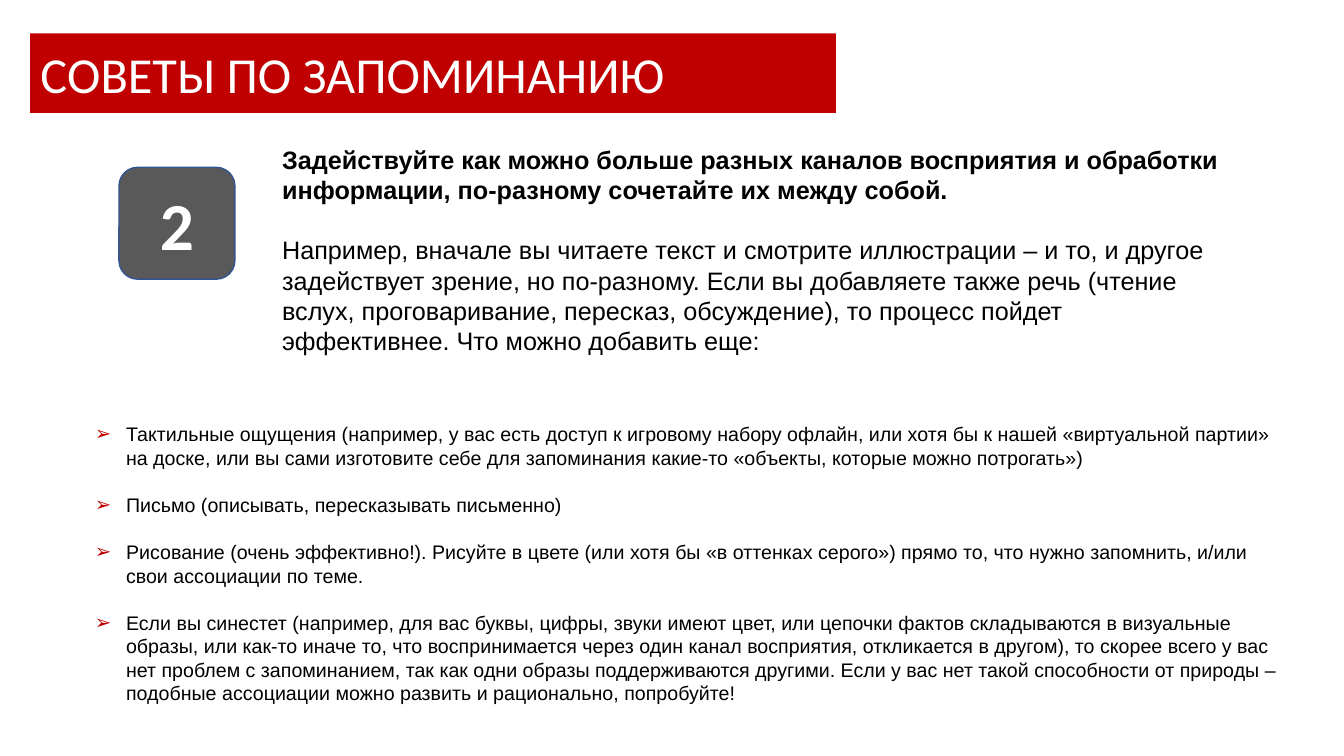
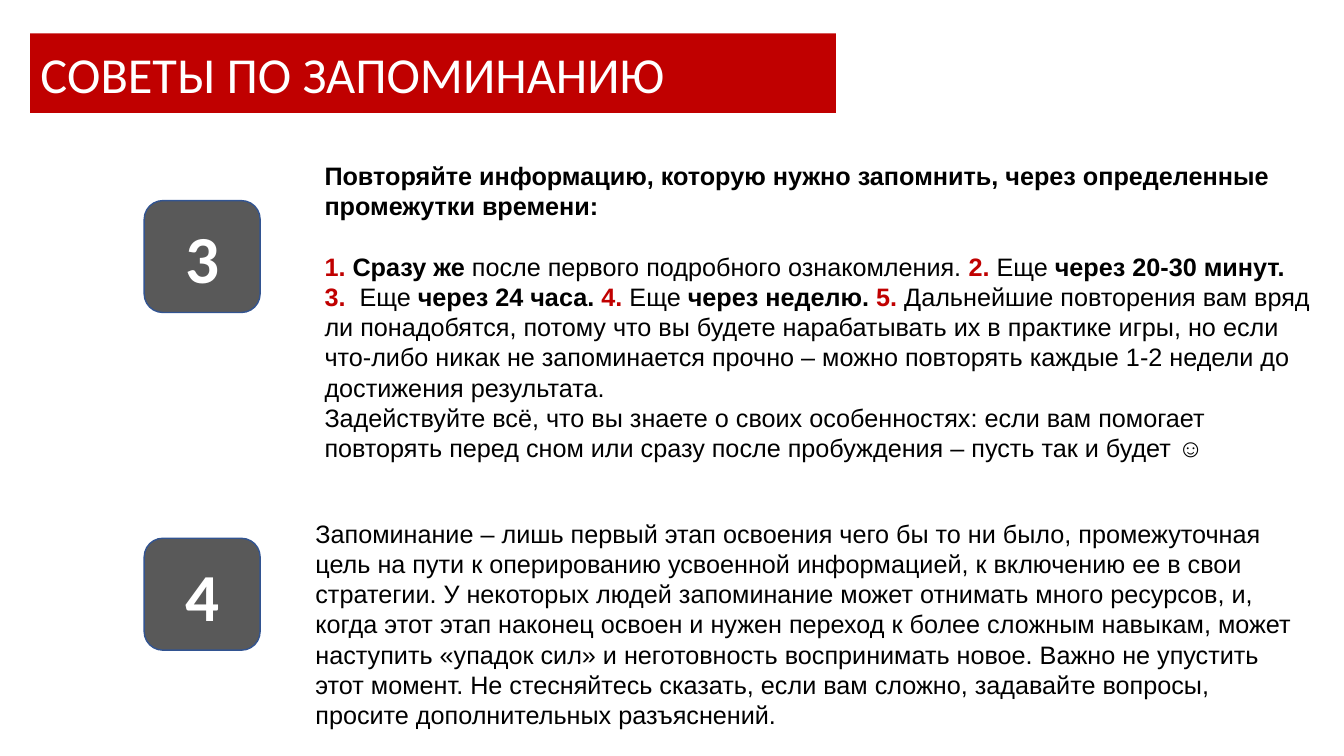
import pptx
import pptx.util
import pptx.dml.color
import pptx.enum.shapes
import pptx.enum.text
import pptx.oxml
import pptx.oxml.ns

Inches, Pt = pptx.util.Inches, pptx.util.Pt
PP_ALIGN = pptx.enum.text.PP_ALIGN

RED, GREY, BADGE_LINE, WHITE, BLACK = "C00000", "595959", "325491", "FFFFFF", "000000"
TITLE = "СОВЕТЫ ПО ЗАПОМИНАНИЮ"
TITLE_BOX = (0.3, 0.33, 7.99, 0.79)
BADGE_SIZE = (1.15, 1.11)
TITLE_ONLY, TITLE_AND_BODY = 5, 1
ADVICE_SIZE, LIST_SIZE = 18, 14
ADVICE_GAP, LIST_GAP = 21.6, 16.8
BULLET_INDENT = 0.31

# Runs are (text, style); style holds "b" for bold and "r" for red.
SLIDES = [
    {
        "tips": [
            {
                "number": "2", "badge": (1.18, 1.66), "box": (2.7, 1.38, 9.54, 2.22),
                "paragraphs": [
                    [("Задействуйте как можно больше разных каналов восприятия и обработки информации, "
                      "по-разному сочетайте их между собой.", "b")],
                    [("Например, вначале вы читаете текст и смотрите иллюстрации – и то, и другое "
                      "задействует зрение, но по-разному. Если вы добавляете также речь (чтение вслух, "
                      "проговаривание, пересказ, обсуждение), то процесс пойдет эффективнее. "
                      "Что можно добавить еще:", "")],
                ],
            },
        ],
        "list_box": (0.84, 4.14, 11.98, 3.2),
        "list": [
            "Тактильные ощущения (например, у вас есть доступ к игровому набору офлайн, или хотя бы "
            "к нашей «виртуальной партии» на доске, или вы сами изготовите себе для запоминания "
            "какие-то «объекты, которые можно потрогать»)",
            "Письмо (описывать, пересказывать письменно)",
            "Рисование (очень эффективно!). Рисуйте в цвете (или хотя бы «в оттенках серого») прямо "
            "то, что нужно запомнить, и/или свои ассоциации по теме.",
            "Если вы синестет (например, для вас буквы, цифры, звуки имеют цвет, или цепочки фактов "
            "складываются в визуальные образы, или как-то иначе то, что воспринимается через один "
            "канал восприятия, откликается в другом), то скорее всего у вас нет проблем с "
            "запоминанием, так как одни образы поддерживаются другими. Если у вас нет такой "
            "способности от природы – подобные ассоциации можно развить и рационально, попробуйте!",
        ],
    },
    {
        "tips": [
            {
                "number": "3", "badge": (1.43, 1.99), "box": (3.12, 1.54, 10.05, 3.13),
                "paragraphs": [
                    [("Повторяйте информацию, которую нужно запомнить, через определенные промежутки "
                      "времени:", "b")],
                    [("1. ", "br"), ("Сразу же ", "b"),
                     ("после первого подробного ознакомления. ", ""),
                     ("2. ", "br"), ("Еще ", ""), ("через 20-30 минут.", "b")],
                    [("3.", "br"), ("  Еще ", ""), ("через 24 часа. ", "b"),
                     ("4.", "br"), (" Еще ", ""), ("через неделю. ", "b"),
                     ("5.", "br"),
                     (" Дальнейшие повторения вам вряд ли понадобятся, потому что вы будете "
                      "нарабатывать их в практике игры, но если что-либо никак не запоминается прочно "
                      "– можно повторять каждые 1-2 недели до достижения результата.", "")],
                    [("Задействуйте всё, что вы знаете о своих особенностях: если вам помогает "
                      "повторять перед сном или сразу после пробуждения – пусть так и будет ☺", "")],
                ],
            },
            {
                "number": "4", "badge": (1.43, 5.34), "box": (3.03, 5.09, 10.05, 2.22),
                "paragraphs": [
                    [("Запоминание – лишь первый этап освоения чего бы то ни было, промежуточная цель "
                      "на пути к оперированию усвоенной информацией, к включению ее в свои стратегии. "
                      "У некоторых людей запоминание может отнимать много ресурсов, и, когда этот этап "
                      "наконец освоен и нужен переход к более сложным навыкам, может наступить «упадок "
                      "сил» и неготовность воспринимать новое. Важно не упустить этот момент. Не "
                      "стесняйтесь сказать, если вам сложно, задавайте вопросы, просите дополнительных "
                      "разъяснений.", "")],
                ],
            },
        ],
    },
]


def rgb(value):
    return pptx.dml.color.RGBColor.from_string(value)


def inches(*lengths):
    return [Inches(length) for length in lengths]


def style(font, size, color, bold=False, name="Arial"):
    font.name, font.size, font.bold = name, Pt(size), bold
    font.color.rgb = rgb(color)


def place(placeholder, box):
    placeholder.left, placeholder.top, placeholder.width, placeholder.height = inches(*box)
    placeholder.text_frame.auto_size = pptx.enum.text.MSO_AUTO_SIZE.NONE


def element(tag, **attributes):
    node = pptx.oxml.parse_xml(f"<{tag} {pptx.oxml.ns.nsdecls('a')}/>")
    for key, value in attributes.items():
        node.set(key, value)
    return node


def add_title(slide):
    """Turn the title placeholder into the rounded red band."""
    title = slide.shapes.title
    place(title, TITLE_BOX)
    title.element.spPr.append(element("a:prstGeom", prst="roundRect"))
    title.fill.solid()
    title.fill.fore_color.rgb = rgb(RED)
    title.text_frame.text = TITLE
    title.text_frame.vertical_anchor = pptx.enum.text.MSO_ANCHOR.MIDDLE
    paragraph = title.text_frame.paragraphs[0]
    paragraph.alignment = PP_ALIGN.LEFT
    style(paragraph.runs[0].font, 36, WHITE, name="Calibri")


def add_badge(slide, number, corner):
    badge = slide.shapes.add_shape(
        pptx.enum.shapes.MSO_SHAPE.ROUNDED_RECTANGLE, *inches(*corner, *BADGE_SIZE))
    badge.shadow.inherit = False
    badge.fill.solid()
    badge.fill.fore_color.rgb = rgb(GREY)
    badge.line.color.rgb = rgb(BADGE_LINE)
    badge.line.width = Pt(1)
    badge.text_frame.text = number
    badge.text_frame.vertical_anchor = pptx.enum.text.MSO_ANCHOR.MIDDLE
    paragraph = badge.text_frame.paragraphs[0]
    paragraph.alignment = PP_ALIGN.CENTER
    style(paragraph.runs[0].font, 48, WHITE, True, "Calibri")


def add_advice(slide, box, paragraphs):
    frame = slide.shapes.add_textbox(*inches(*box)).text_frame
    frame.word_wrap = True
    for index, runs in enumerate(paragraphs):
        paragraph = frame.paragraphs[0] if index == 0 else frame.add_paragraph()
        if index == 1:
            paragraph.space_before = Pt(ADVICE_GAP)
        for text, marks in runs:
            run = paragraph.add_run()
            run.text = text
            style(run.font, ADVICE_SIZE, RED if "r" in marks else BLACK, "b" in marks)


def add_list(slide, box, items):
    body = slide.placeholders[1]
    place(body, box)
    body.text_frame.text = "\n".join(items)
    for index, paragraph in enumerate(body.text_frame.paragraphs):
        paragraph.space_before = Pt(LIST_GAP if index else 0)
        properties = paragraph._p.get_or_add_pPr()
        properties.set("marL", str(Inches(BULLET_INDENT)))
        properties.set("indent", str(-Inches(BULLET_INDENT)))
        bullet_color = element("a:buClr")
        bullet_color.append(element("a:srgbClr", val=RED))
        properties.append(bullet_color)
        properties.append(element("a:buFont", typeface="Arial"))
        properties.append(element("a:buChar", char="➢"))
        style(paragraph.runs[0].font, LIST_SIZE, BLACK)


def main():
    deck = pptx.Presentation()
    deck.slide_width, deck.slide_height = inches(13.33, 7.5)
    for content in SLIDES:
        layout = TITLE_AND_BODY if "list" in content else TITLE_ONLY
        slide = deck.slides.add_slide(deck.slide_layouts[layout])
        add_title(slide)
        for tip in content["tips"]:
            add_badge(slide, tip["number"], tip["badge"])
            add_advice(slide, tip["box"], tip["paragraphs"])
        if "list" in content:
            add_list(slide, content["list_box"], content["list"])
    deck.save("out.pptx")


if __name__ == "__main__":
    main()
